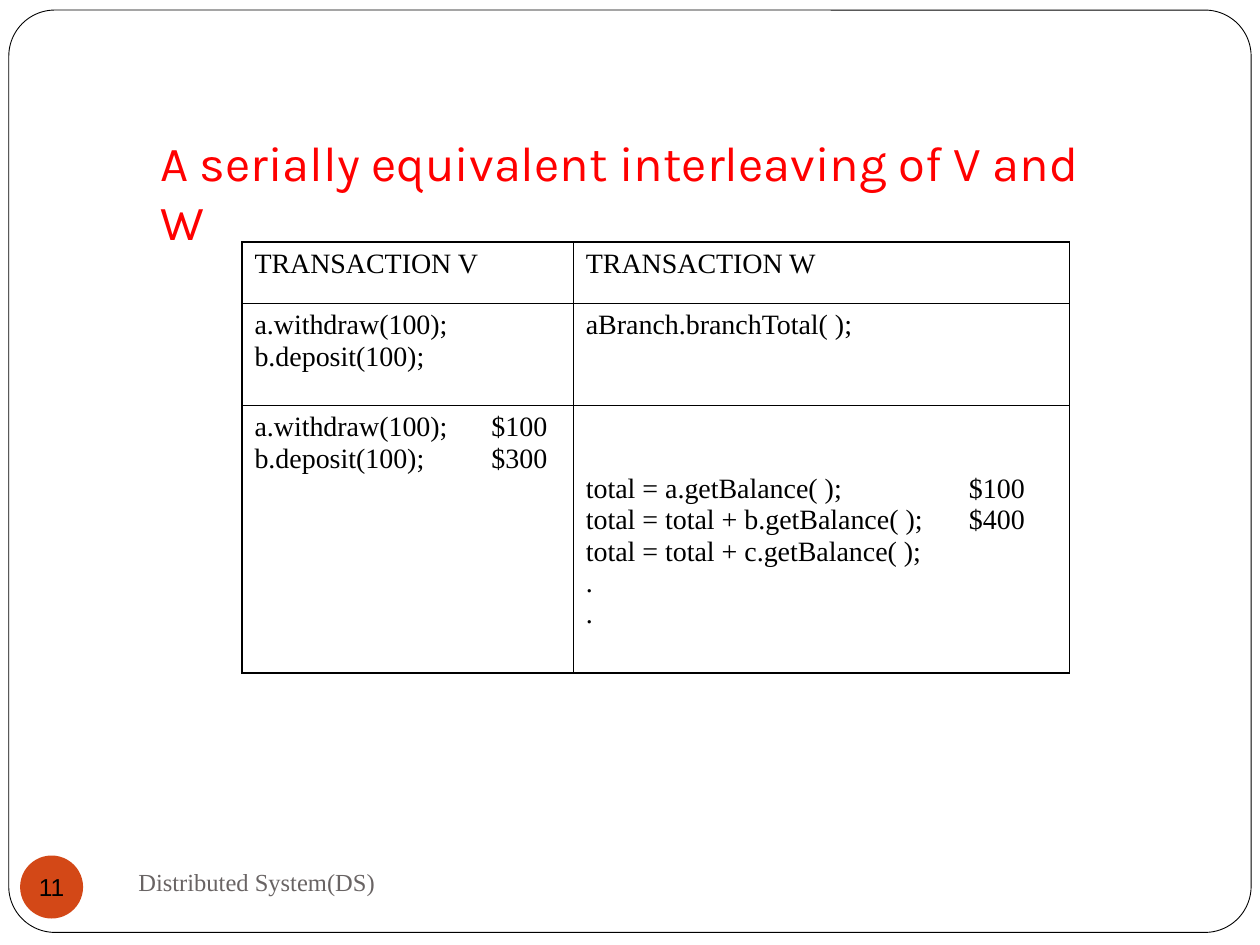
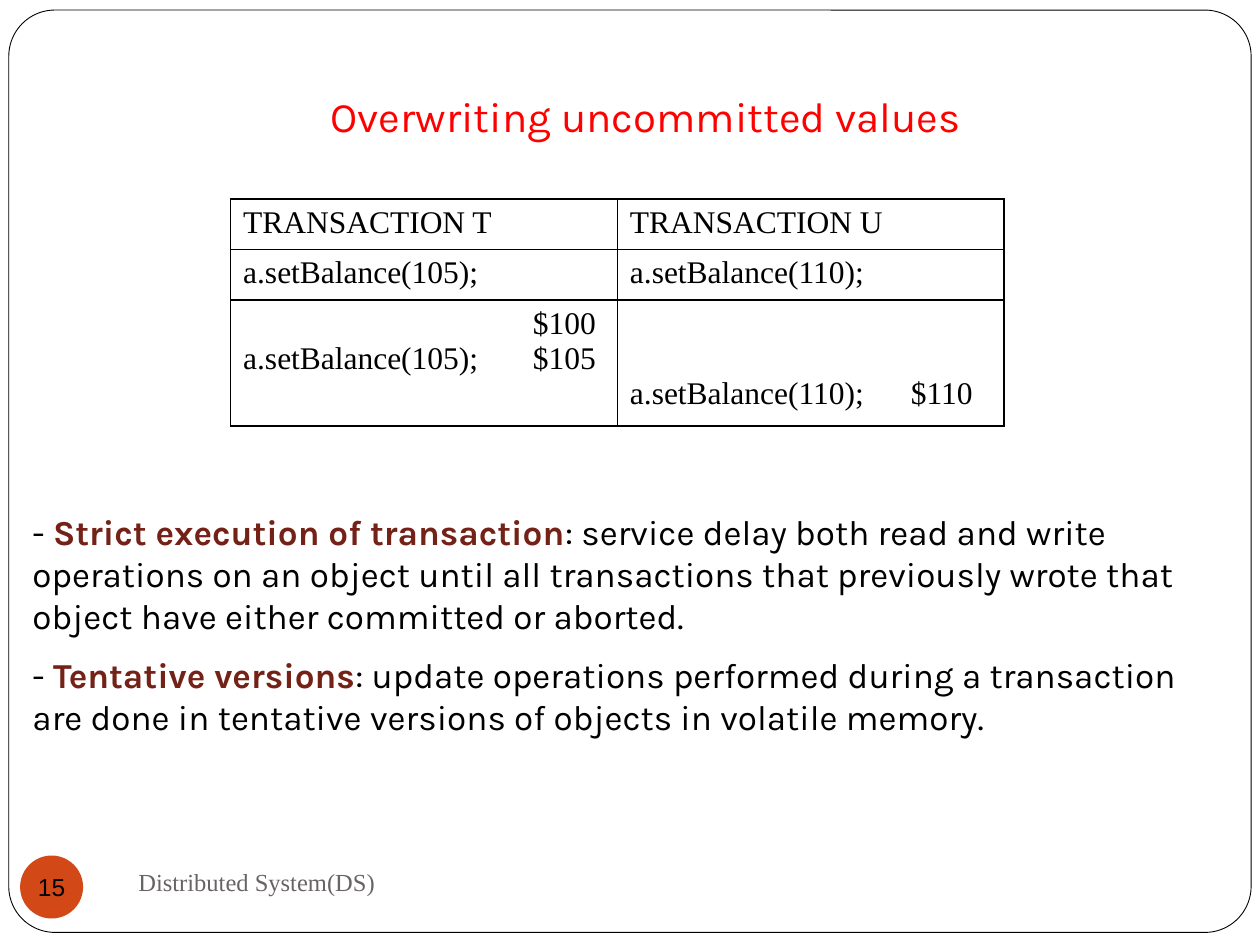
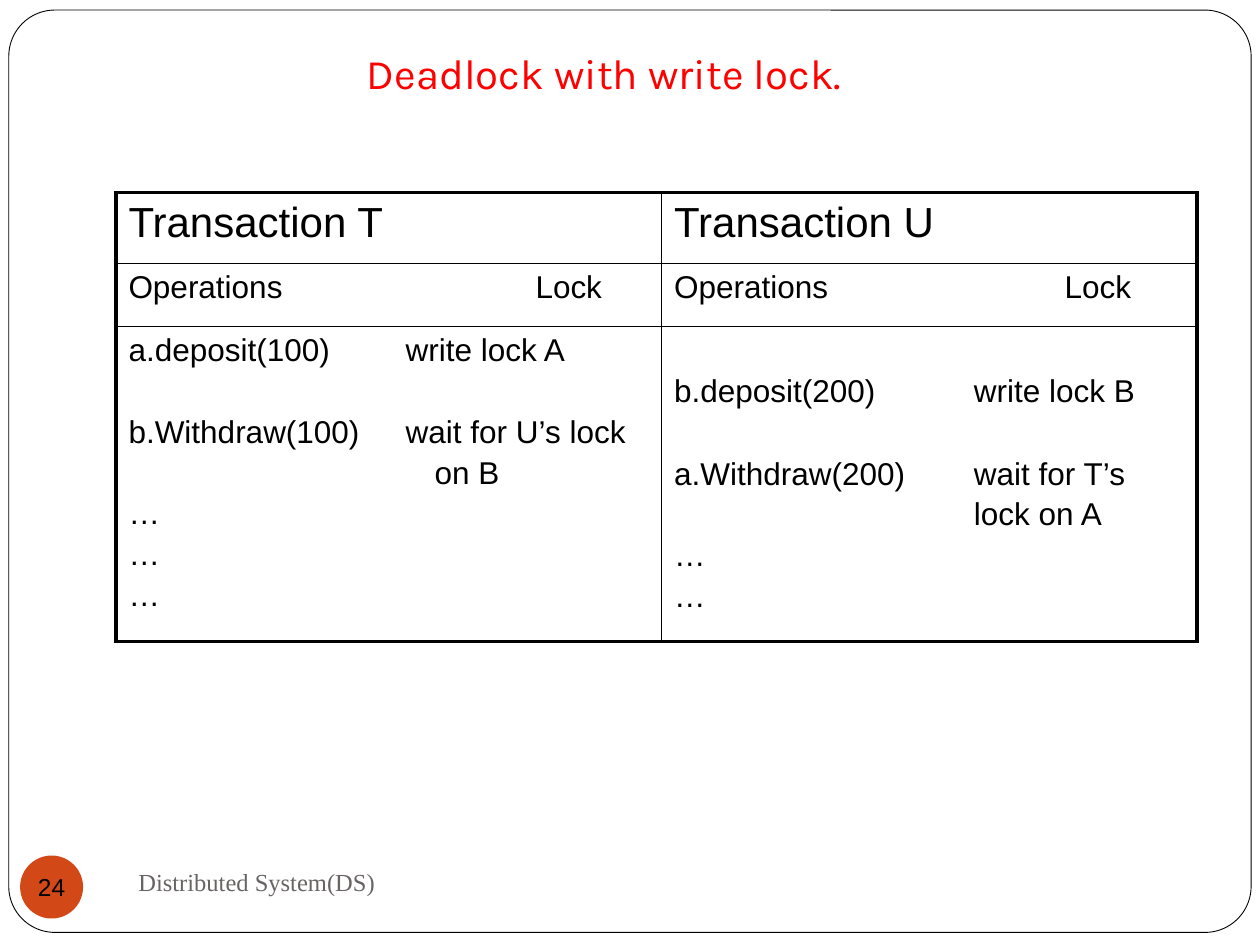
from pptx import Presentation
from pptx.dml.color import RGBColor
from pptx.enum.shapes import MSO_SHAPE
from pptx.enum.text import MSO_ANCHOR, MSO_AUTO_SIZE, PP_ALIGN
from pptx.oxml.ns import qn
from pptx.util import Inches, Pt
from lxml.etree import SubElement

WHITE = RGBColor(0xFF, 0xFF, 0xFF)
BLACK = RGBColor(0x00, 0x00, 0x00)
RED = RGBColor(0xFF, 0x00, 0x00)
ORANGE = RGBColor(0xD3, 0x48, 0x17)
GREY = RGBColor(0x69, 0x64, 0x64)
MAROON = RGBColor(0x74, 0x22, 0x17)
SERIF, SANS, DISPLAY = "Times New Roman", "Arial", "Karla"


def style(p, font, size, color):
    p.font.name, p.font.size = font, Pt(size)
    p.font.color.rgb = color


def fill_cell(cell, text, stops, font, size, pitch, extra, borders):
    """Write lines with tab stops; an empty line becomes spacing of one pitch."""
    tcPr = cell._tc.get_or_add_tcPr()
    for side, width in zip("LRTB", borders):
        ln = SubElement(tcPr, qn("a:ln" + side), w=str(Pt(width)))
        color = SubElement(SubElement(ln, qn("a:solidFill")), qn("a:srgbClr"))
        color.set("val", str(BLACK))
    cell.fill.background()
    tf = cell.text_frame
    p, skipped = None, 0
    for line in text.split("\n"):
        if not line:
            skipped += 1
            continue
        if p is None:
            p = tf.paragraphs[0]
            cell.margin_top = Inches(0.05) + Pt(skipped * pitch)
        else:
            p = tf.add_paragraph()
            p.space_before = Pt(skipped * pitch + extra)
        skipped = 0
        p.text = line
        if "\t" in line:
            tabs = SubElement(p._p.get_or_add_pPr(), qn("a:tabLst"))
            for stop in stops:
                SubElement(tabs, qn("a:tab"), pos=str(Inches(stop)), algn="l")
        style(p, font, size, BLACK)
        for r in p.runs:
            r.font.size = Pt(size)


# Each cell is its text and its tab stops; sizes go row by row.
SLIDES = [
    dict(
        number=11, title="A serially equivalent interleaving of V and W",
        title_box=(1.17, 1, 7.83, 0.57), title_size=28, align=PP_ALIGN.LEFT,
        table_at=(1.92, 1.92), cols=(2.63, 3.94), rows=(0.49, 0.81, 2.12),
        font=SERIF, sizes=(16, 16, 16), pitch=17.7, extra=0, outer=1,
        cells=[
            [("TRANSACTION V", ()), ("TRANSACTION W", ())],
            [("a.withdraw(100);\nb.deposit(100);", ()),
             ("aBranch.branchTotal( );", ())],
            [("a.withdraw(100);\t$100\nb.deposit(100);\t$300", (1.88,)),
             ("\n\ntotal = a.getBalance( );\t$100\n"
              "total = total + b.getBalance( );\t$400\n"
              "total = total + c.getBalance( );\n.\n.", (3.04,))],
        ],
    ),
    dict(
        number=15, title="Overwriting uncommitted values",
        title_box=(2, 0.67, 6.25, 0.5), title_size=24, align=PP_ALIGN.CENTER,
        table_at=(1.83, 1.58), cols=(3.07, 3.07), rows=(0.4, 0.4, 1),
        font=SERIF, sizes=(18, 18, 18), pitch=19.9, extra=0, outer=1,
        cells=[
            [("TRANSACTION T", ()), ("TRANSACTION U", ())],
            [("a.setBalance(105);", ()), ("a.setBalance(110);", ())],
            [("\t$100\na.setBalance(105);\t$105", (2.3,)),
             ("\n\na.setBalance(110);\t$110", (2.23,))],
        ],
    ),
    dict(
        number=24, title="Deadlock with write lock.",
        title_box=(1.42, 0.33, 6.75, 0.5), title_size=24, align=PP_ALIGN.CENTER,
        table_at=(0.92, 1.53), cols=(4.33, 4.25), rows=(0.56, 0.5, 2.5),
        font=SANS, sizes=(24, 18, 18), pitch=23.8, extra=3.1, outer=2.25,
        cells=[
            [("Transaction T", ()), ("Transaction U", ())],
            [("Operations\tLock", (3.23,)), ("Operations\tLock", (3.1,))],
            [("a.deposit(100)\twrite lock A\n\n"
              "b.Withdraw(100)\twait for U’s lock\n\t\ton B\n…\n…\n…", (2.2, 2.43)),
             ("\nb.deposit(200)\twrite lock B\n\n"
              "a.Withdraw(200)\twait for T’s\n\tlock on A\n…\n…", (2.38,))],
        ],
    ),
]

DEFINITIONS = [
    ("Strict execution of transaction",
     ": service delay both read and write operations on an object until all "
     "transactions that previously wrote that object have either committed or aborted."),
    ("Tentative versions",
     ": update operations performed during a transaction are done in tentative "
     "versions of objects in volatile memory."),
]

prs = Presentation()
prs.slide_width, prs.slide_height = Inches(10), Inches(7.5)

for data in SLIDES:
    s = prs.slides.add_slide(prs.slide_layouts[5])

    # Frame, behind everything else
    frame = s.shapes.add_shape(MSO_SHAPE.ROUNDED_RECTANGLE, Inches(0.07), Inches(0.08),
                               Inches(9.86), Inches(7.32))
    frame.adjustments[0] = 0.05
    frame.shadow.inherit = False
    frame.fill.solid()
    frame.fill.fore_color.rgb = WHITE
    frame.line.color.rgb = BLACK
    frame.line.width = Pt(0.5)
    s.shapes._spTree.insert(2, frame._element)

    # Title
    title = s.shapes.title
    title.left, title.top, title.width, title.height = map(Inches, data["title_box"])
    tf = title.text_frame
    tf.text = data["title"]
    tf.word_wrap = True
    tf.auto_size = MSO_AUTO_SIZE.NONE
    tf.vertical_anchor = MSO_ANCHOR.TOP
    p = tf.paragraphs[0]
    p.alignment = data["align"]
    style(p, DISPLAY, data["title_size"], RED)

    # Slide number badge
    badge = s.shapes.add_shape(MSO_SHAPE.OVAL, Inches(0.16), Inches(6.79),
                               Inches(0.5), Inches(0.5))
    badge.shadow.inherit = False
    badge.fill.solid()
    badge.fill.fore_color.rgb = ORANGE
    badge.line.fill.background()
    tf = badge.text_frame
    tf.text = str(data["number"])
    tf.word_wrap = False
    tf.margin_left = tf.margin_right = tf.margin_top = tf.margin_bottom = 0
    tf.vertical_anchor = MSO_ANCHOR.MIDDLE
    p = tf.paragraphs[0]
    p.alignment = PP_ALIGN.CENTER
    style(p, SANS, 14, BLACK)

    # Footer
    footer = s.shapes.add_textbox(Inches(1), Inches(6.75), Inches(4.33), Inches(0.5))
    tf = footer.text_frame
    tf.text = "Distributed System(DS)"
    tf.word_wrap = True
    tf.vertical_anchor = MSO_ANCHOR.MIDDLE
    style(tf.paragraphs[0], SERIF, 14, GREY)

    # Transaction table
    cols, rows, outer = data["cols"], data["rows"], data["outer"]
    left, top = data["table_at"]
    table = s.shapes.add_table(len(rows), len(cols), Inches(left), Inches(top),
                               Inches(sum(cols)), Inches(sum(rows))).table
    table.first_row = table.horz_banding = False
    for i, width in enumerate(cols):
        table.columns[i].width = Inches(width)
    for i, height in enumerate(rows):
        table.rows[i].height = Inches(height)
        for j, (text, stops) in enumerate(data["cells"][i]):
            edges = (j == 0, j == len(cols) - 1, i == 0, i == len(rows) - 1)
            borders = [outer if edge else 1 for edge in edges]
            fill_cell(table.cell(i, j), text, stops, data["font"], data["sizes"][i],
                      data["pitch"], data["extra"], borders)

# Definitions below the table of the second slide
box = prs.slides[1].shapes.add_textbox(Inches(0.16), Inches(4), Inches(9.67), Inches(1.95))
tf = box.text_frame
tf.word_wrap = True
for i, (term, meaning) in enumerate(DEFINITIONS):
    p = tf.add_paragraph() if i else tf.paragraphs[0]
    if i:
        p.space_before = Pt(10)
    style(p, DISPLAY, 20, BLACK)
    for text in ("- ", term, meaning):
        r = p.add_run()
        r.text = text
        r.font.bold = text == term
        r.font.color.rgb = MAROON if text == term else BLACK

prs.save("out.pptx")
